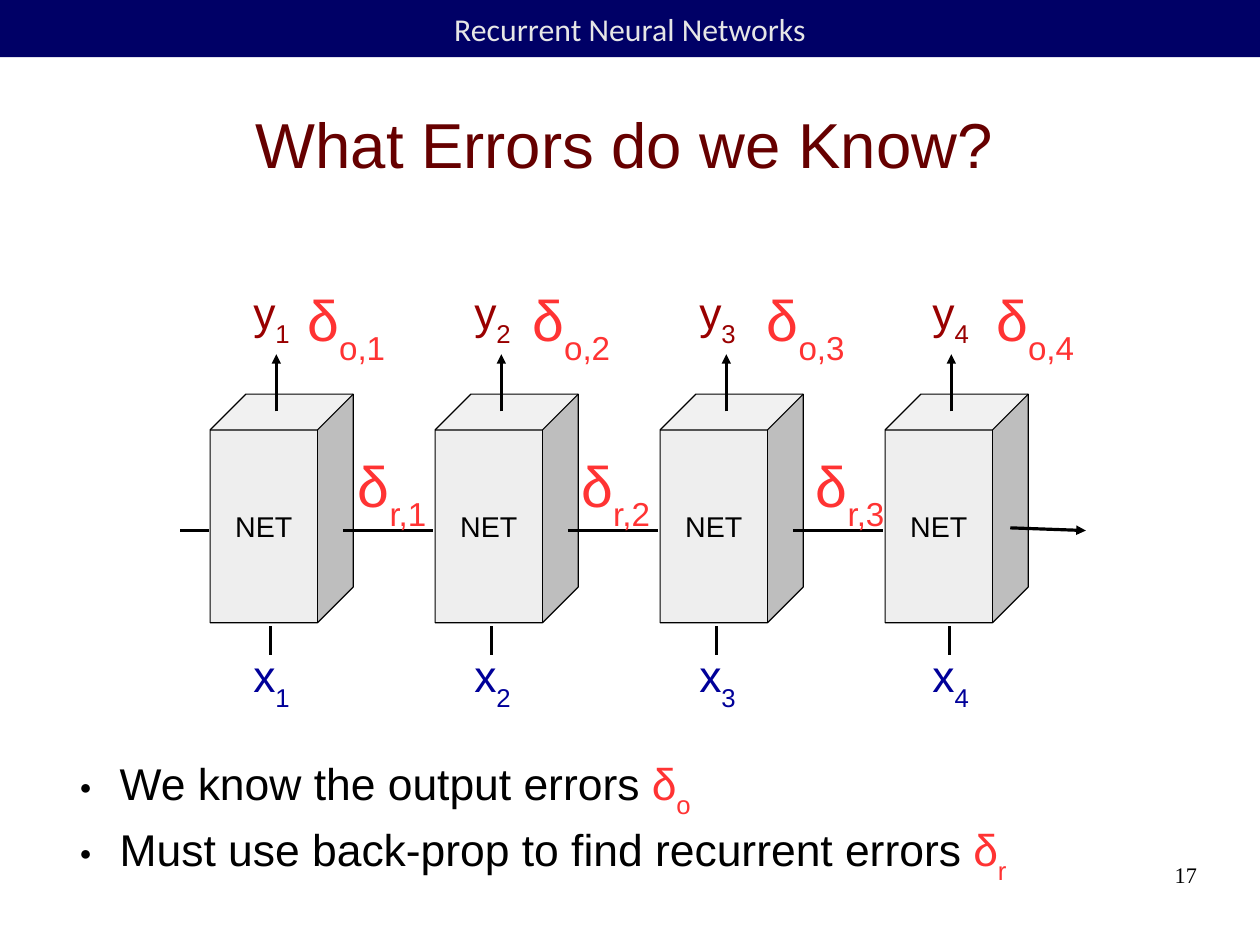
from dataclasses import dataclass

from lxml import etree
from pptx import Presentation
from pptx import util as u
from pptx.dml.color import RGBColor
from pptx.enum import shapes, text
from pptx.oxml.ns import qn


@dataclass(frozen=True)
class Theme:
    bar: str = "000066"
    pale: str = "E6E6E6"
    head: str = "660000"
    ink: str = "000000"
    face: str = "EEEEEE"
    input: str = "000099"
    output: str = "990000"
    error: str = "FF3333"
    font: str = "Arial"
    bar_font: str = "Calibri"
    page_font: str = "Times New Roman"
    title_size: int = 40
    error_size: int = 36
    body_size: int = 28
    bar_size: int = 20
    net_size: int = 18
    page_size: int = 14


THEME = Theme()
ALIGN = text.PP_ALIGN

# Rows of the net, in cm
CUBE_LEFT, CUBE_STEP, CUBE_TOP = 4.67, 5.0, 8.76
CUBE_WIDE, CUBE_HIGH = 3.18, 5.08
FLOW_Y = 11.79
LABEL_LEFTS = (5.38, 10.29, 15.29, 20.47)
OUT_LEFTS = (6.58, 11.58, 16.79, 21.89)
BACK_LEFTS = (7.7, 12.67, 17.88)


def color(code):
    return RGBColor.from_string(code)


def style(run, size, code, font=THEME.font, sub=False):
    run.font.size = u.Pt(size)
    run.font.name = font
    run.font.color.rgb = color(code)
    if sub:
        run.font._element.set("baseline", "-33000")


def add_sub(para, base, sub, size, code):
    """Add a symbol and its subscript to a paragraph."""
    for part, low in ((base, False), (sub, True)):
        run = para.add_run()
        run.text = part
        style(run, size, code, sub=low)


def pad(frame, side=0, edge=0):
    frame.margin_left = frame.margin_right = u.Cm(side)
    frame.margin_top = frame.margin_bottom = u.Cm(edge)


def place(shape, left, top, wide, high):
    shape.left, shape.top = u.Cm(left), u.Cm(top)
    shape.width, shape.height = u.Cm(wide), u.Cm(high)


def add_block(slide, kind, left, top, wide, high, fill, words, size, code, font):
    block = slide.shapes.add_shape(
        kind, u.Cm(left), u.Cm(top), u.Cm(wide), u.Cm(high))
    block.shadow.inherit = False
    block.fill.solid()
    block.fill.fore_color.rgb = color(fill)
    frame = block.text_frame
    frame.text = words
    frame.vertical_anchor = text.MSO_ANCHOR.MIDDLE
    frame.paragraphs[0].alignment = ALIGN.CENTER
    style(frame.paragraphs[0].runs[0], size, code, font)
    return block


def add_bar(slide, wide):
    bar = add_block(slide, shapes.MSO_SHAPE.RECTANGLE, 0, 0, wide, 1.27,
                    THEME.bar, "Recurrent Neural Networks",
                    THEME.bar_size, THEME.pale, THEME.bar_font)
    bar.line.fill.background()


def add_cube(slide, left):
    cube = add_block(slide, shapes.MSO_SHAPE.CUBE, left, CUBE_TOP, CUBE_WIDE,
                     CUBE_HIGH, THEME.face, "NET",
                     THEME.net_size, THEME.ink, THEME.font)
    cube.line.color.rgb = color(THEME.ink)
    cube.line.width = 0
    cube.text_frame.word_wrap = False


def add_line(slide, start, end, arrow=False):
    line = slide.shapes.add_connector(
        shapes.MSO_CONNECTOR.STRAIGHT, *map(u.Cm, start + end))
    line.line.color.rgb = color(THEME.ink)
    line.line.width = 0
    if arrow:
        tip = etree.SubElement(line.line._get_or_add_ln(), qn("a:tailEnd"))
        tip.set("type", "triangle")
    etree.SubElement(line._element.spPr, qn("a:effectLst"))


def add_label(slide, left, top, wide, high, base, sub, size, code):
    box = slide.shapes.add_textbox(
        u.Cm(left), u.Cm(top), u.Cm(wide), u.Cm(high))
    frame = box.text_frame
    pad(frame, 0.25, 0.13)
    frame.word_wrap = False
    frame.auto_size = text.MSO_AUTO_SIZE.SHAPE_TO_FIT_TEXT
    add_sub(frame.paragraphs[0], base, sub, size, code)


def add_title(slide):
    title = slide.shapes.title
    place(title, 1.27, 1.57, 25.2, 3.23)
    frame = title.text_frame
    frame.text = "What Errors do we Know?"
    frame.vertical_anchor = text.MSO_ANCHOR.MIDDLE
    frame.auto_size = text.MSO_AUTO_SIZE.NONE
    pad(frame)
    frame.paragraphs[0].alignment = ALIGN.CENTER
    style(frame.paragraphs[0].runs[0], THEME.title_size, THEME.head)


def add_bullet(para):
    props = para._p.get_or_add_pPr()
    props.set("marL", str(u.Cm(1.19)))
    props.set("indent", str(u.Cm(-0.89)))
    tint = etree.SubElement(props, qn("a:buClr"))
    etree.SubElement(tint, qn("a:srgbClr")).set("val", THEME.ink)
    etree.SubElement(props, qn("a:buSzPct")).set("val", "45000")
    etree.SubElement(props, qn("a:buChar")).set("char", "●")


def add_list(slide, items):
    body = slide.placeholders[1]
    place(body, 1.47, 16.79, 25.2, 2.75)
    frame = body.text_frame
    frame.auto_size = text.MSO_AUTO_SIZE.NONE
    frame.vertical_anchor = text.MSO_ANCHOR.TOP
    pad(frame)
    frame.text = "\n".join(words for words, _ in items)
    for para, (_, sub) in zip(frame.paragraphs, items):
        para.space_before, para.space_after = u.Pt(0), u.Pt(1.2)
        add_bullet(para)
        style(para.runs[0], THEME.body_size, THEME.ink)
        add_sub(para, "δ", sub, THEME.body_size, THEME.error)


def add_page(slide, number):
    box = slide.shapes.add_textbox(
        u.Cm(20.07), u.Cm(19.13), u.Cm(6.53), u.Cm(1.45))
    frame = box.text_frame
    frame.word_wrap = True
    pad(frame)
    frame.text = number
    frame.paragraphs[0].alignment = ALIGN.RIGHT
    style(frame.paragraphs[0].runs[0], THEME.page_size, THEME.ink, THEME.page_font)


def add_net(slide):
    lefts = [CUBE_LEFT + CUBE_STEP * i for i in range(len(LABEL_LEFTS))]
    for left in lefts:
        add_cube(slide, left)

    # Flow from step to step
    add_line(slide, (4.01, FLOW_Y), (4.65, FLOW_Y))
    for left in lefts[:-1]:
        add_line(slide, (left + 2.95, FLOW_Y), (left + 4.96, FLOW_Y))
    add_line(slide, (22.45, 11.73), (24.13, FLOW_Y), arrow=True)

    # Inputs, outputs and output errors
    columns = zip(lefts, LABEL_LEFTS, OUT_LEFTS)
    for step, (left, label, out) in enumerate(columns, 1):
        add_line(slide, (left + 1.47, 9.14), (left + 1.47, 7.87), arrow=True)
        add_line(slide, (label + 0.63, 14.55), (label + 0.63, 13.92))
        for base, top, code in (("x", 14.27, THEME.input), ("y", 6.2, THEME.output)):
            add_label(slide, label, top, 1.32, 1.6, base, str(step),
                      THEME.body_size, code)
        add_label(slide, out, 6.2, 2.24, 1.98, "δ", f"o,{step}",
                  THEME.error_size, THEME.error)

    # Recurrent errors
    for step, left in enumerate(BACK_LEFTS, 1):
        add_label(slide, left, 9.88, 2.03, 1.98, "δ", f"r,{step}",
                  THEME.error_size, THEME.error)


def main():
    deck = Presentation()
    deck.slide_width, deck.slide_height = u.Cm(28), u.Cm(21)
    slide = deck.slides.add_slide(deck.slide_layouts[1])
    add_bar(slide, 28)
    add_title(slide)
    add_net(slide)
    add_list(slide, (("We know the output errors ", "o"),
                     ("Must use back-prop to find recurrent errors ", "r")))
    add_page(slide, "17")
    deck.save("out.pptx")


if __name__ == "__main__":
    main()
